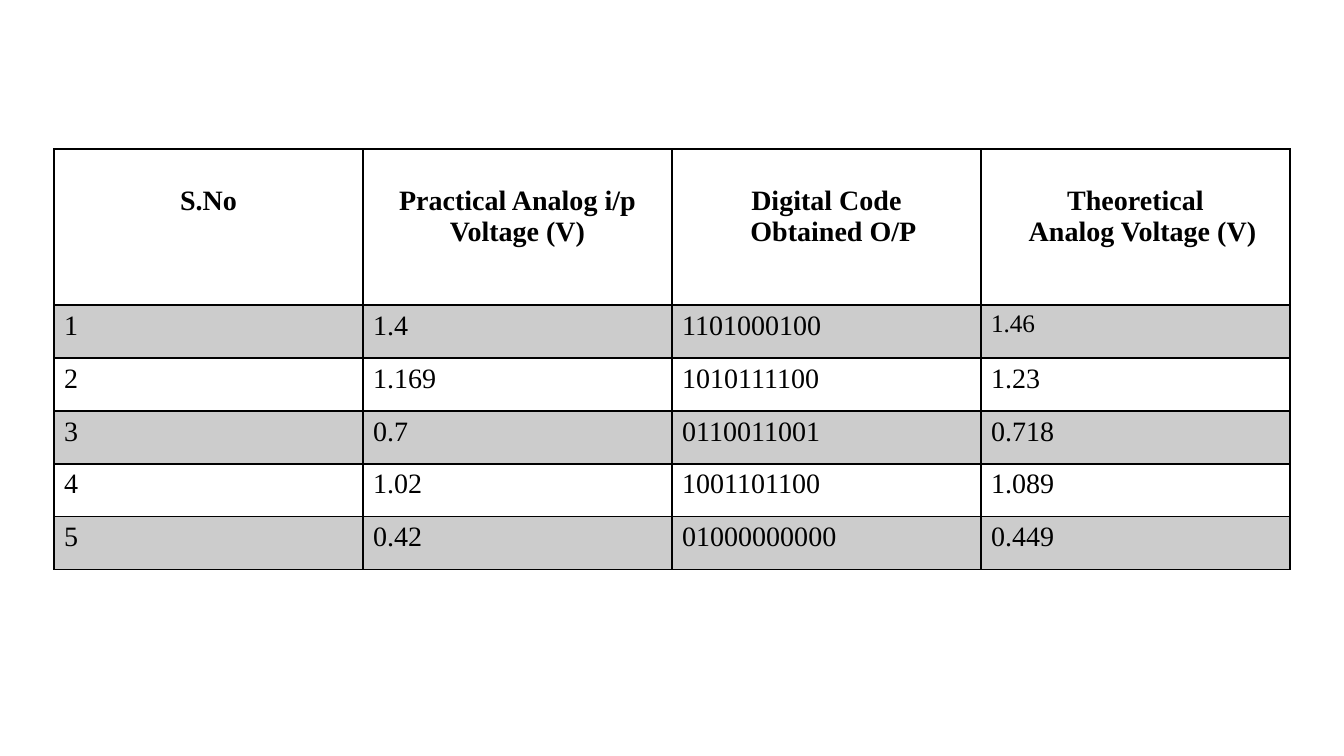
from dataclasses import dataclass

from lxml import etree
from pptx import Presentation
from pptx import util as u
from pptx.dml.color import RGBColor
from pptx.enum import text
from pptx.oxml import ns

PX = 914400 / 100.8


@dataclass(frozen=True)
class Theme:
    """Colours and type sizes of the slide."""
    ink: str = "000000"
    band_alpha: int = 20
    font: str = "Times New Roman"
    size: int = 20
    small: int = 18
    line: int = 1
    heavy_line: int = 2


THEME = Theme()
HEADINGS = [
    ["S.No"],
    ["Practical Analog i/p Voltage (V)"],
    ["Digital Code", "Obtained O/P"],
    ["Theoretical", "Analog Voltage (V)"],
]
READINGS = [
    ["1", "1.4", "1101000100", "1.46"],
    ["2", "1.169", "1010111100", "1.23"],
    ["3", "0.7", "0110011001", "0.718"],
    ["4", "1.02", "1001101100", "1.089"],
    ["5", "0.42", "01000000000", "0.449"],
]
SMALL_VALUES = {"1.46"}


def px(length):
    """Turn whole pixels into EMU."""
    return u.Emu(round(length * PX))


def add_child(parent, tag, **attributes):
    """Append a DrawingML element and return it."""
    return etree.SubElement(parent, ns.qn(tag), **attributes)


def set_borders(cell, top, bottom):
    """Draw the four borders of a cell, with widths in points."""
    properties = cell._tc.get_or_add_tcPr()
    widths = {"a:lnL": THEME.line, "a:lnR": THEME.line, "a:lnT": top, "a:lnB": bottom}
    for tag, width in widths.items():
        line = add_child(properties, tag, w=str(u.Pt(width)))
        add_child(add_child(line, "a:solidFill"), "a:srgbClr", val=THEME.ink)


def set_fill(cell, banded):
    """Give a cell the translucent band or no fill."""
    if not banded:
        cell.fill.background()
        return
    cell.fill.solid()
    cell.fill.fore_color.rgb = RGBColor.from_string(THEME.ink)
    colour = cell._tc.tcPr.find(ns.qn("a:solidFill")).find(ns.qn("a:srgbClr"))
    add_child(colour, "a:alpha", val=str(THEME.band_alpha * 1000))


def set_text(cell, lines, is_heading):
    """Write one paragraph per line and format it."""
    cell.text_frame.text = "\n".join(lines)
    for index, para in enumerate(cell.text_frame.paragraphs):
        if is_heading:
            para.alignment = text.PP_ALIGN.CENTER
            if index:
                para._p.get_or_add_pPr().set("marL", str(px(14)))
        for span in para.runs:
            small = span.text in SMALL_VALUES
            span.font.size = u.Pt(THEME.small if small else THEME.size)
            span.font.name = THEME.font
            span.font.bold = is_heading
            span.font.color.rgb = RGBColor.from_string(THEME.ink)


def add_readings_table(page, left, top, width, heading_height, row_height):
    """Place the voltage table in the given box."""
    rows = [HEADINGS] + [[[value] for value in row] for row in READINGS]
    height = heading_height + row_height * len(READINGS)
    frame = page.shapes.add_table(
        len(rows), len(HEADINGS), px(left), px(top), px(width), px(height))
    table = frame.table
    table.first_row = table.horz_banding = False
    for column in table.columns:
        column.width = px(width / len(HEADINGS))
    for index, row in enumerate(rows):
        is_heading = index == 0
        table.rows[index].height = px(heading_height if is_heading else row_height)
        for cell, lines in zip(table.rows[index].cells, row):
            set_borders(cell,
                        THEME.heavy_line if index == 1 else THEME.line,
                        THEME.heavy_line if is_heading else THEME.line)
            set_fill(cell, index % 2 == 1)
            set_text(cell, lines, is_heading)
            if is_heading:
                cell.margin_top = px(36)


def main():
    """Build and save the deck."""
    deck = Presentation()
    deck.slide_width, deck.slide_height = px(1344), px(756)
    page = deck.slides.add_slide(deck.slide_layouts[6])
    add_readings_table(page, left=54, top=149, width=1236,
                       heading_height=156, row_height=53)
    deck.save("out.pptx")


if __name__ == "__main__":
    main()
